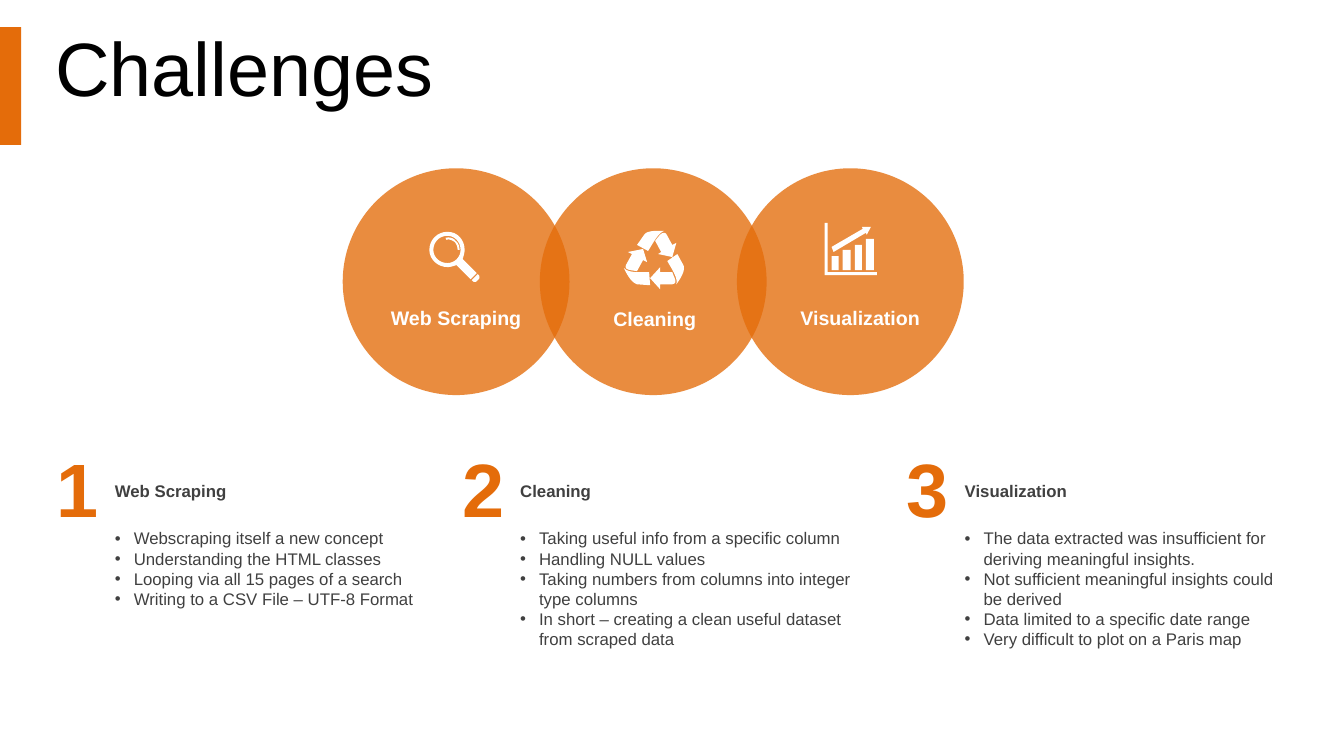
from pptx import Presentation
from pptx.dml.color import RGBColor
from pptx.enum import shapes, text
from pptx.util import Pt
from lxml import etree

TITLE = "Challenges"
# Per topic: name, bullets, column left, column text width, label left, label top
TOPICS = [
    ("Web Scraping", ["Webscraping itself a new concept",
                      "Understanding the HTML classes",
                      "Looping via all 15 pages of a search",
                      "Writing to a CSV File – UTF-8 Format"],
     40.3, 234.7, 263.5, 214.6),
    ("Cleaning", ["Taking useful info from a specific column",
                  "Handling NULL values",
                  "Taking numbers from columns into integer type columns",
                  "In short – creating a clean useful dataset from scraped data"],
     329.8, 254.9, 405.4, 215.3),
    ("Visualization", ["The data extracted was insufficient for deriving meaningful insights.",
                       "Not sufficient meaningful insights could be derived",
                       "Data limited to a specific date range",
                       "Very difficult to plot on a Paris map"],
     647.3, 234.7, 552.2, 214.6),
]

# Icon contours in grid cells: a pair is a corner, six numbers are a Bezier curve
LENS = [
    [(48, 42), (49, 43), (50, 44, 50, 46, 49, 47), (47, 49),
     (46, 50, 44, 50, 43, 49), (42, 48)],
    [(16, 6), (20, 5, 24, 6, 26, 9), (29, 11, 30, 15, 30, 18), (28, 18),
     (28, 15, 27, 12, 25, 10), (22, 8, 19, 7, 17, 8)],
    [(18, 4), (10, 4, 4, 10, 4, 18), (4, 25, 10, 31, 18, 31),
     (25, 31, 31, 25, 31, 18), (31, 10, 25, 4, 18, 4)],
    [(18, 0), (28, 0, 35, 8, 35, 18), (35, 21, 34, 24, 33, 27), (47, 41),
     (41, 47), (27, 33), (24, 34, 21, 35, 18, 35), (8, 35, 0, 27, 0, 18),
     (0, 8, 8, 0, 18, 0)],
]
CYCLE = [
    [(0, 37), (5, 42, 16, 41, 25, 41), (26, 54), (13, 53), (9, 52, 4, 46, 0, 37)],
    [(36, 36), (36, 41), (48, 41), (50, 47, 54, 52, 48, 53), (36, 53), (36, 58), (26, 47)],
    [(53, 23), (59, 34), (61, 38, 58, 45, 52, 53), (54, 47, 47, 37, 43, 30)],
    [(19, 18), (23, 31), (19, 29), (13, 40), (7, 39, 0, 39, 2, 34), (8, 23), (4, 21)],
    [(39, 2), (40, 2, 41, 2, 42, 3), (48, 14), (52, 12), (48, 26), (34, 23),
     (37, 21), (31, 10), (34, 6, 37, 2, 39, 2)],
    [(33, 0), (35, 0, 38, 0, 40, 0), (34, 2, 29, 12, 24, 20), (13, 14),
     (20, 4), (22, 1, 27, 0, 33, 0)],
]
BARS = [(7, 14, 33), (18, 26, 27), (30, 37, 22), (41, 49, 16)]
GRAPH = [[(l, t), (r, t), (r, 47), (l, 47)] for l, r, t in BARS] + [
    [(37, 4), (46, 4), (42, 12), (41, 10), (9, 29), (7, 24), (38, 6)],
    [(0, 0), (3, 0), (3, 49), (52, 49), (52, 52), (0, 52)],
]
ICONS = [(CYCLE, 445.68, 164.88), (GRAPH, 588.96, 159.12), (LENS, 306.72, 165.6)]
CELL = 0.72

THEME = {
    "font": "Arial", "accent": "E46C0A", "title": "000000", "body": "404040",
    "light": "FFFFFF", "alpha": 78,
    "big": 54, "label": 14, "small": 12,
}

deck = Presentation()
deck.slide_width, deck.slide_height = Pt(960), Pt(540)
slide = deck.slides.add_slide(deck.slide_layouts[6])


def paint(shape, color):
    shape.shadow.inherit = False
    shape.fill.solid()
    shape.fill.fore_color.rgb = RGBColor.from_string(THEME[color])
    shape.line.fill.background()


def solid(kind, box, color):
    shape = slide.shapes.add_shape(kind, *map(Pt, box))
    paint(shape, color)
    return shape


def write(lines, box, size, color, bold=False, align="LEFT", anchor="MIDDLE",
          pad=(7.2, 3.6, 7.2, 3.6)):
    frame = slide.shapes.add_textbox(*map(Pt, box)).text_frame
    frame.word_wrap = True
    frame.vertical_anchor = text.MSO_ANCHOR[anchor]
    (frame.margin_left, frame.margin_top,
     frame.margin_right, frame.margin_bottom) = map(Pt, pad)
    frame.text = "\n".join(lines)
    for para in frame.paragraphs:
        para.alignment = text.PP_ALIGN[align]
        for run in para.runs:
            run.font.name = THEME["font"]
            run.font.size = Pt(THEME[size])
            run.font.bold = bold
            run.font.color.rgb = RGBColor.from_string(THEME[color])
    return frame


def extend(parent, tag, **attrs):
    """Append a DrawingML child element."""
    space = "{http://schemas.openxmlformats.org/drawingml/2006/main}"
    return etree.SubElement(parent, space + tag, **attrs)


def bullet(para):
    props = para._p.get_or_add_pPr()
    props.set("marL", str(Pt(13.5)))
    props.set("indent", str(Pt(-13.5)))
    extend(props, "buFont", typeface=THEME["font"])
    extend(props, "buChar", char="•")


def trace(contour, left, top, steps=8):
    """Flatten corners and curves into slide points."""
    spots = []
    for node in contour:
        if len(node) == 2:
            spots.append(node)
            continue
        ctrl = [spots[-1], node[:2], node[2:4], node[4:]]
        for i in range(1, steps + 1):
            t = i / steps
            mix = [(1 - t) ** 3, 3 * t * (1 - t) ** 2, 3 * t * t * (1 - t), t ** 3]
            spots.append(tuple(sum(m * c[k] for m, c in zip(mix, ctrl)) for k in (0, 1)))
    return [(Pt(left + x * CELL), Pt(top + y * CELL)) for x, y in spots]


def icon(contours, left, top):
    first, *rest = [trace(c, left, top) for c in contours]
    pen = slide.shapes.build_freeform(*first[0], scale=1.0)
    pen.add_line_segments(first[1:], close=True)
    for spots in rest:
        pen.move_to(*spots[0])
        pen.add_line_segments(spots[1:], close=True)
    paint(pen.convert_to_shape(), "light")


solid(shapes.MSO_SHAPE.RECTANGLE, (0, 19.4, 15.1, 84.2), "accent")
head = write([TITLE], (32.4, 20.9, 903.6, 56.9), "big", "title",
             pad=(7.2, 7.2, 7.2, 3.6)).paragraphs[0]
head.line_spacing = 0.9
head.space_before = Pt(10)

for i in range(len(TOPICS)):
    disc = solid(shapes.MSO_SHAPE.OVAL, (244.8 + 140.8 * i, 120.2, 162, 162), "accent")
    tint = disc.fill._xPr.solidFill[0]
    extend(tint, "alpha", val=str(THEME["alpha"] * 1000))

for args in ICONS:
    icon(*args)

for num, (name, notes, left, wide, tag_x, tag_y) in enumerate(TOPICS, 1):
    write([name], (tag_x, tag_y, 124.6, 24.5), "label", "light", True, "CENTER")
    write([str(num)], (left, 315.4, 30.3, 65.5), "big", "accent", True, "RIGHT",
          pad=(0, 0, 0, 0))
    col = left + 41.8
    pad = (0, 3.6, 7.2, 3.6)
    write([name], (col, 339.8, wide, 21.6), "small", "body", True, pad=pad)
    high = 94.3 if num == 3 else 108.7 if num == 2 else 65.5
    items = write(notes, (col, 373.7, wide, high), "small", "body", anchor="TOP", pad=pad)
    for para in items.paragraphs:
        bullet(para)

deck.save("out.pptx")
